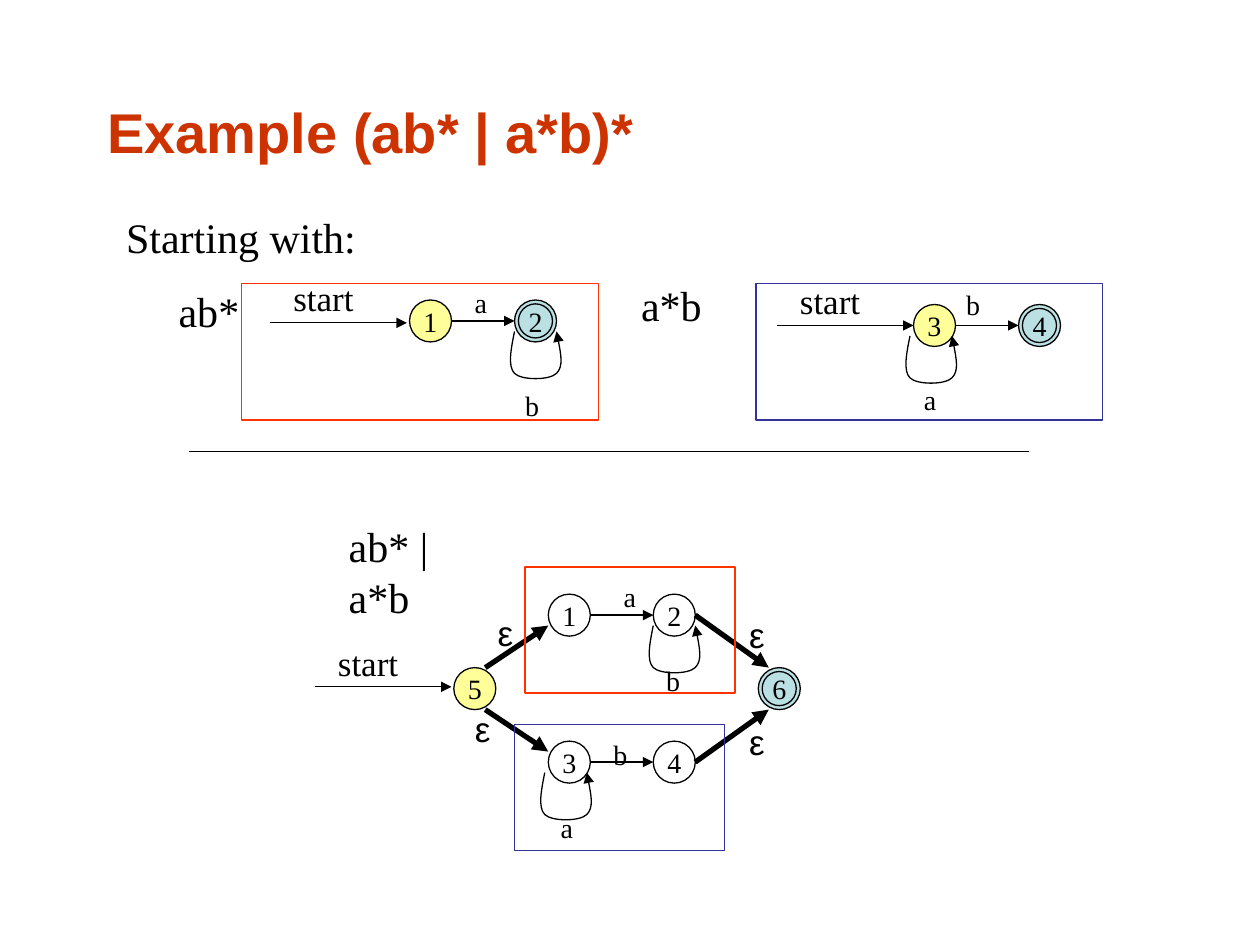
from dataclasses import dataclass

from lxml import etree
from pptx import Presentation
from pptx import util as u
from pptx.dml import color
from pptx.enum import shapes, text
from pptx.oxml import ns


@dataclass(frozen=True)
class Theme:
    """Colours, fonts and sizes of the slide."""
    ink: str = "000000"
    heading: str = "CC3300"
    start: str = "FFFF99"
    accept: str = "BBE0E3"
    red: str = "FF3300"
    blue: str = "333399"
    serif: str = "Times New Roman"
    sans: str = "Arial"
    title: int = 32
    expression: int = 24
    caption: int = 20
    symbol: int = 16
    thin: float = 0.75
    thick: float = 3


THEME = Theme()
DIAMETER = 24
STEP = 60


def rgb(value):
    """Turn a hex string into a colour."""
    return color.RGBColor.from_string(value)


def write(frame, words, size=THEME.symbol, font=THEME.serif, ink=THEME.ink,
          bold=False, align=text.PP_ALIGN.LEFT, anchor=text.MSO_ANCHOR.TOP, wrap=False):
    """Put formatted words into a text frame."""
    frame.word_wrap = wrap
    frame.vertical_anchor = anchor
    paragraph = frame.paragraphs[0]
    paragraph.alignment = align
    run = paragraph.add_run()
    run.text = words
    run.font.size = u.Pt(size)
    run.font.name = font
    run.font.bold = bold
    run.font.color.rgb = rgb(ink)


def add_label(slide, words, left, top, width, height=None, **style):
    """Add a text box that fits its line unless a height is given."""
    line_height = style.get("size", THEME.symbol) * 1.2 + 7.2
    label = slide.shapes.add_textbox(
        *map(u.Pt, (left, top, width, height or line_height)))
    write(label.text_frame, words, **style)
    if height is None:
        label.text_frame.auto_size = text.MSO_AUTO_SIZE.SHAPE_TO_FIT_TEXT


def add_outline(slide, preset, left, top, width, height, line=THEME.ink, fill=None):
    """Add a preset shape with a thin line and an optional fill."""
    outline = slide.shapes.add_shape(preset, *map(u.Pt, (left, top, width, height)))
    outline.shadow.inherit = False
    outline.line.color.rgb = rgb(line)
    outline.line.width = u.Pt(THEME.thin)
    if fill:
        outline.fill.solid()
        outline.fill.fore_color.rgb = rgb(fill)
    else:
        outline.fill.background()
    return outline


def add_frame(slide, line, *place):
    """Add the rectangle around an automaton."""
    add_outline(slide, shapes.MSO_SHAPE.RECTANGLE, *place, line=line)


def add_state(slide, name, left, top, fill=None):
    """Add a numbered state, with an inner ring when it accepts."""
    oval = shapes.MSO_SHAPE.OVAL
    state = add_outline(slide, oval, left, top, DIAMETER, DIAMETER, fill=fill)
    write(state.text_frame, name, align=text.PP_ALIGN.CENTER, anchor=text.MSO_ANCHOR.MIDDLE)
    if fill == THEME.accept:
        add_outline(slide, oval, left + 2.25, top + 2.25, DIAMETER - 4.5, DIAMETER - 4.5)


def add_arrowhead(stroke):
    """End a line with a triangle."""
    etree.SubElement(stroke.line._get_or_add_ln(), ns.qn("a:tailEnd"), type="triangle")


def add_line(slide, start, end, width=THEME.thin, arrow=True):
    """Add a straight line, by default an arrow."""
    line = slide.shapes.add_connector(
        shapes.MSO_CONNECTOR.STRAIGHT, *map(u.Pt, (*start, *end)))
    line.line.color.rgb = rgb(THEME.ink)
    line.line.width = u.Pt(width)
    if arrow:
        add_arrowhead(line)
    etree.SubElement(line._element.spPr, ns.qn("a:effectLst"))


def round_off(outline):
    """Turn each three straight segments into one cubic curve."""
    segments = outline._element.xpath(".//a:lnTo")
    for first in range(0, len(segments), 3):
        curve = etree.Element(ns.qn("a:cubicBezTo"))
        segments[first].addprevious(curve)
        for segment in segments[first:first + 3]:
            curve.append(segment[0])
            segment.getparent().remove(segment)


def add_loop(slide, left, top):
    """Add the arrow that leads from a state back to itself."""
    knots = [(-2, 10), (-4, 20), (0, 24), (4, 28), (20, 28),
             (24, 24), (28, 20), (26, 10), (24, 0)]
    builder = slide.shapes.build_freeform(u.Pt(left), u.Pt(top))
    builder.add_line_segments(
        [(u.Pt(left + x), u.Pt(top + y)) for x, y in knots], close=False)
    loop = builder.convert_to_shape()
    round_off(loop)
    loop.shadow.inherit = False
    loop.fill.background()
    loop.line.color.rgb = rgb(THEME.ink)
    loop.line.width = u.Pt(THEME.thin)
    add_arrowhead(loop)


def add_pair(slide, names, left, top, loop_left, fills=(None, None)):
    """Add two states, the arrow between them and a loop under one."""
    for index, (name, fill) in enumerate(zip(names, fills)):
        add_state(slide, name, left + index * STEP, top, fill)
    middle = top + DIAMETER / 2
    add_line(slide, (left + DIAMETER, middle), (left + STEP, middle))
    add_loop(slide, loop_left, top + 18)


def add_start(slide, left, level, label_top):
    """Add the entry arrow and its caption."""
    add_line(slide, (left, level), (left + 78, level))
    add_label(slide, "start", left + 6, label_top, 49, size=THEME.caption)


def add_parts(slide):
    """Add the two automata to be joined."""
    fills = (THEME.start, THEME.accept)
    add_pair(slide, "12", 234, 171.4, 294, fills)
    add_pair(slide, "34", 522, 174, 520, fills)
    add_frame(slide, THEME.red, 138, 162, 204, 78)
    add_frame(slide, THEME.blue, 432, 162, 198, 78)
    add_start(slide, 154.5, 184.5, 154.6)
    add_start(slide, 444, 186, 156.2)


def add_union(slide):
    """Add the joined automaton with its empty moves."""
    add_pair(slide, "12", 313.3, 339.5, 373.3)
    add_pair(slide, "34", 313.3, 423.5, 311.3)
    add_state(slide, "5", 259.3, 381.5, THEME.start)
    add_state(slide, "6", 433.3, 381.5, THEME.accept)
    for start, end in (((277.3, 381.5), (313.3, 357.5)), ((277.3, 405.5), (313.3, 429.5)),
                       ((397.3, 435.5), (439.3, 405.5)), ((397.3, 351.5), (439.3, 381.5))):
        add_line(slide, start, end, width=THEME.thick)
    for left, top in ((264.3, 401), (277.3, 345.8), (421, 347), (421, 408)):
        add_label(slide, "ε", left, top, 23, size=THEME.caption, font=THEME.sans)
    add_frame(slide, THEME.red, 300, 324, 120, 72)
    add_frame(slide, THEME.blue, 294, 414, 120, 72)
    add_start(slide, 180, 392.5, 363)


def main():
    """Build and save the slide."""
    deck = Presentation()
    deck.slide_width, deck.slide_height = u.Pt(720), u.Pt(540)
    slide = deck.slides.add_slide(deck.slide_layouts[6])
    add_label(slide, "Example (ab* | a*b)*", 54.3, 30, 612, 90, size=THEME.title,
              font=THEME.sans, ink=THEME.heading, bold=True,
              anchor=text.MSO_ANCHOR.MIDDLE, wrap=True)
    add_line(slide, (108, 258), (588, 258), arrow=False)
    add_parts(slide)
    add_union(slide)
    for expression, left, top, width in (
            ("Starting with:", 65, 117.5, 152), ("ab*", 95, 159.4, 49),
            ("a*b", 359.2, 156, 49), ("ab* | a*b", 192.2, 294, 100)):
        add_label(slide, expression, left, top, width, size=THEME.expression)
    for symbol, left, top in (
            ("a", 264.2, 159.4), ("b", 293, 218.4), ("b", 545, 160.5), ("a", 520.8, 214.8),
            ("a", 349.3, 327.5), ("b", 373.6, 375.7), ("b", 343.5, 417.8), ("a", 313.3, 459.5)):
        add_label(slide, symbol, left, top, 22)
    deck.save("out.pptx")


if __name__ == "__main__":
    main()
